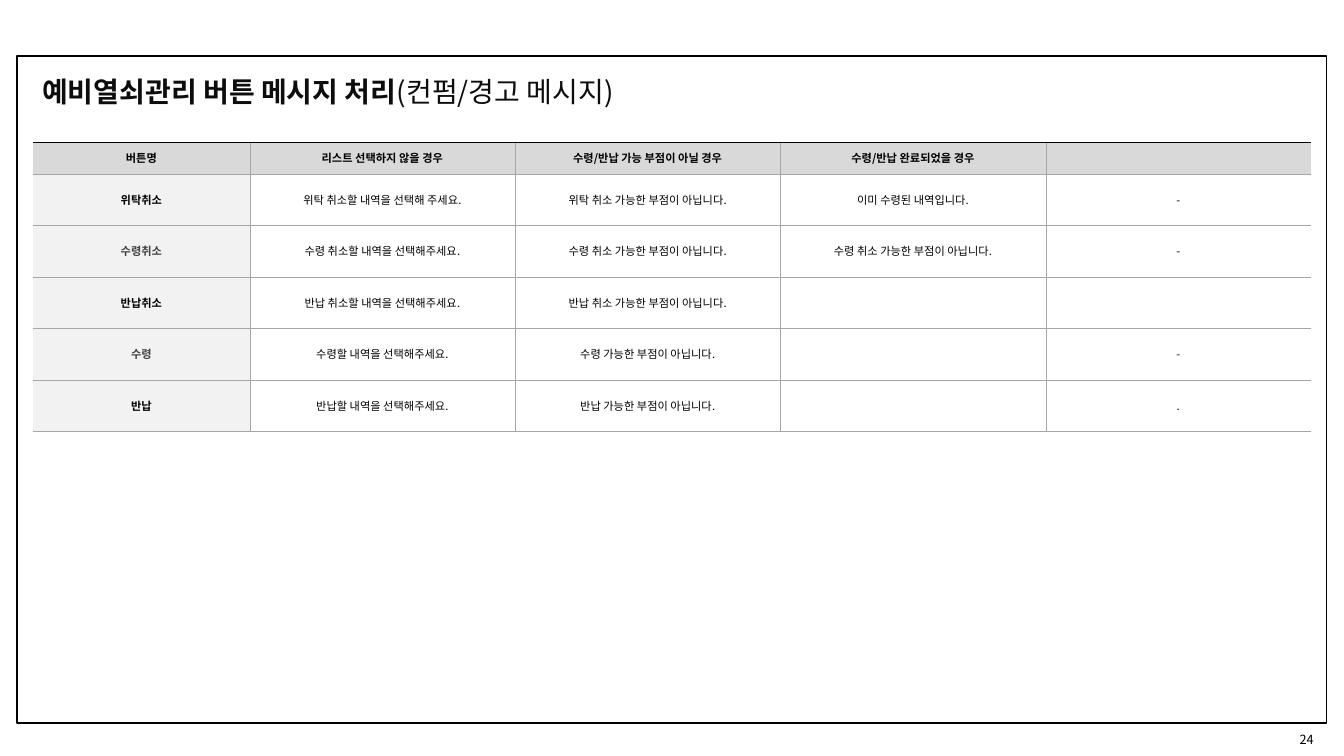
from dataclasses import dataclass

from lxml.etree import SubElement
from pptx import Presentation
from pptx.dml.color import RGBColor
from pptx.enum.shapes import MSO_CONNECTOR, MSO_SHAPE
from pptx.enum.text import MSO_ANCHOR, PP_ALIGN
from pptx.oxml.ns import qn
from pptx.util import Pt


@dataclass(frozen=True)
class Theme:
    """Colours, font and type sizes of the slide."""
    font: str = "Noto Sans CJK KR"
    black: str = "000000"
    title: str = "0D0D0D"
    muted: str = "404040"
    grid: str = "A6A6A6"
    header_fill: str = "D9D9D9"
    label_fill: str = "F2F2F2"
    title_size: float = 20
    number_size: float = 9
    cell_size: float = 8
    grid_width: float = 0.25


class SlideBuilder:
    """Draws styled elements on the current slide."""

    def __init__(self, slide, theme):
        self.slide = slide
        self.theme = theme

    def style_run(self, run, size, color, bold=False):
        """Set the font of one run, for Latin and Korean text."""
        run.font.name = self.theme.font
        run.font.size = Pt(size)
        run.font.bold = bold
        run.font.color.rgb = RGBColor.from_string(color)
        SubElement(run.font._element, qn("a:ea"), typeface=self.theme.font)

    def frame(self, left, top, width, height, line_width):
        """Draw an unfilled rectangle."""
        border = self.slide.shapes.add_shape(
            MSO_SHAPE.RECTANGLE, Pt(left), Pt(top), Pt(width), Pt(height))
        border.shadow.inherit = False
        border.fill.background()
        border.line.color.rgb = RGBColor.from_string(self.theme.black)
        border.line.width = Pt(line_width)

    def text(self, left, top, width, height, parts, size, color, align=PP_ALIGN.LEFT):
        """Write one paragraph from (wording, bold) parts."""
        frame = self.slide.shapes.add_textbox(
            Pt(left), Pt(top), Pt(width), Pt(height)).text_frame
        frame.word_wrap = True
        frame.vertical_anchor = MSO_ANCHOR.MIDDLE
        paragraph = frame.paragraphs[0]
        paragraph.alignment = align
        for wording, bold in parts:
            run = paragraph.add_run()
            run.text = wording
            self.style_run(run, size, color, bold)

    def rule(self, left, top, width, line_width):
        """Draw a horizontal line."""
        line = self.slide.shapes.add_connector(
            MSO_CONNECTOR.STRAIGHT, Pt(left), Pt(top), Pt(left + width), Pt(top))
        line.line.color.rgb = RGBColor.from_string(self.theme.black)
        line.line.width = Pt(line_width)
        SubElement(line._element.spPr, qn("a:effectLst"))

    def cell_borders(self, cell, open_sides):
        """Give a cell grid lines on all but its open sides."""
        properties = cell._tc.get_or_add_tcPr()
        for side in ("L", "R", "T", "B"):
            border = SubElement(properties, qn(f"a:ln{side}"),
                                w=str(Pt(self.theme.grid_width)))
            if side in open_sides:
                SubElement(border, qn("a:noFill"))
            else:
                fill = SubElement(border, qn("a:solidFill"))
                SubElement(fill, qn("a:srgbClr"), val=self.theme.grid)

    def cell(self, cell, wording, color, bold, fill, open_sides):
        """Write and style one table cell."""
        cell.vertical_anchor = MSO_ANCHOR.MIDDLE
        cell.margin_left = cell.margin_right = Pt(5.8)
        cell.margin_top = cell.margin_bottom = Pt(3.6)
        self.cell_borders(cell, open_sides)
        if fill:
            cell.fill.solid()
            cell.fill.fore_color.rgb = RGBColor.from_string(fill)
        else:
            cell.fill.background()
        cell.text_frame.text = wording
        paragraph = cell.text_frame.paragraphs[0]
        paragraph.alignment = PP_ALIGN.CENTER
        for run in paragraph.runs:
            self.style_run(run, self.theme.cell_size, color, bold)
        if not wording:
            SubElement(paragraph._p, qn("a:endParaRPr"),
                       sz=str(int(self.theme.cell_size * 100)))

    def table(self, left, top, widths, heights, rows):
        """Draw a table with a shaded header row and label column."""
        theme = self.theme
        grid = self.slide.shapes.add_table(
            len(rows), len(widths), Pt(left), Pt(top),
            Pt(sum(widths)), Pt(sum(heights))).table
        grid.first_row = grid.horz_banding = False
        for column, width in zip(grid.columns, widths):
            column.width = Pt(width)
        for row, height in zip(grid.rows, heights):
            row.height = Pt(height)
        last = len(widths) - 1
        for r, row in enumerate(rows):
            for c, wording in enumerate(row):
                is_header, is_label = r == 0, c == 0
                fill = (theme.header_fill if is_header
                        else theme.label_fill if is_label else None)
                muted = is_label and not is_header and r % 2 == 0
                open_sides = {0: "L", last: "R"}.get(c, "")
                self.cell(grid.cell(r, c), wording,
                          theme.muted if muted else theme.black,
                          is_header or is_label, fill, open_sides)


MESSAGES = [
    ("버튼명", "리스트 선택하지 않을 경우", "수령/반납 가능 부점이 아닐 경우",
     "수령/반납 완료되었을 경우", ""),
    ("위탁취소", "위탁 취소할 내역을 선택해 주세요.", "위탁 취소 가능한 부점이 아닙니다.",
     "이미 수령된 내역입니다.", "-"),
    ("수령취소", "수령 취소할 내역을 선택해주세요.", "수령 취소 가능한 부점이 아닙니다.",
     "수령 취소 가능한 부점이 아닙니다.", "-"),
    ("반납취소", "반납 취소할 내역을 선택해주세요.", "반납 취소 가능한 부점이 아닙니다.", "", ""),
    ("수령", "수령할 내역을 선택해주세요.", "수령 가능한 부점이 아닙니다.", "", "-"),
    ("반납", "반납할 내역을 선택해주세요.", "반납 가능한 부점이 아닙니다.", "", "."),
]


def main():
    """Build the button message slide and save it."""
    deck = Presentation()
    deck.slide_width, deck.slide_height = Pt(960), Pt(540)
    theme = Theme()
    builder = SlideBuilder(deck.slides.add_slide(deck.slide_layouts[6]), theme)

    builder.frame(12.2, 40.3, 935.4, 476, 1.3)
    builder.text(895.7, 517, 49.7, 22.3, [("24", False)],
                 theme.number_size, theme.black, PP_ALIGN.RIGHT)
    builder.text(23, 49.7, 450, 31.7,
                 [("예비열쇠관리 버튼 메시지 처리", True), ("(컨펌/경고 메시지)", False)],
                 theme.title_size, theme.title)

    table_left, table_top = 23.6, 101.5
    widths = [154.8] + [189.5] * 4
    heights = [22.6] + [36.8] * (len(MESSAGES) - 1)
    builder.table(table_left, table_top, widths, heights, MESSAGES)
    builder.rule(table_left, table_top, sum(widths), 0.5)

    deck.save("out.pptx")


if __name__ == "__main__":
    main()
